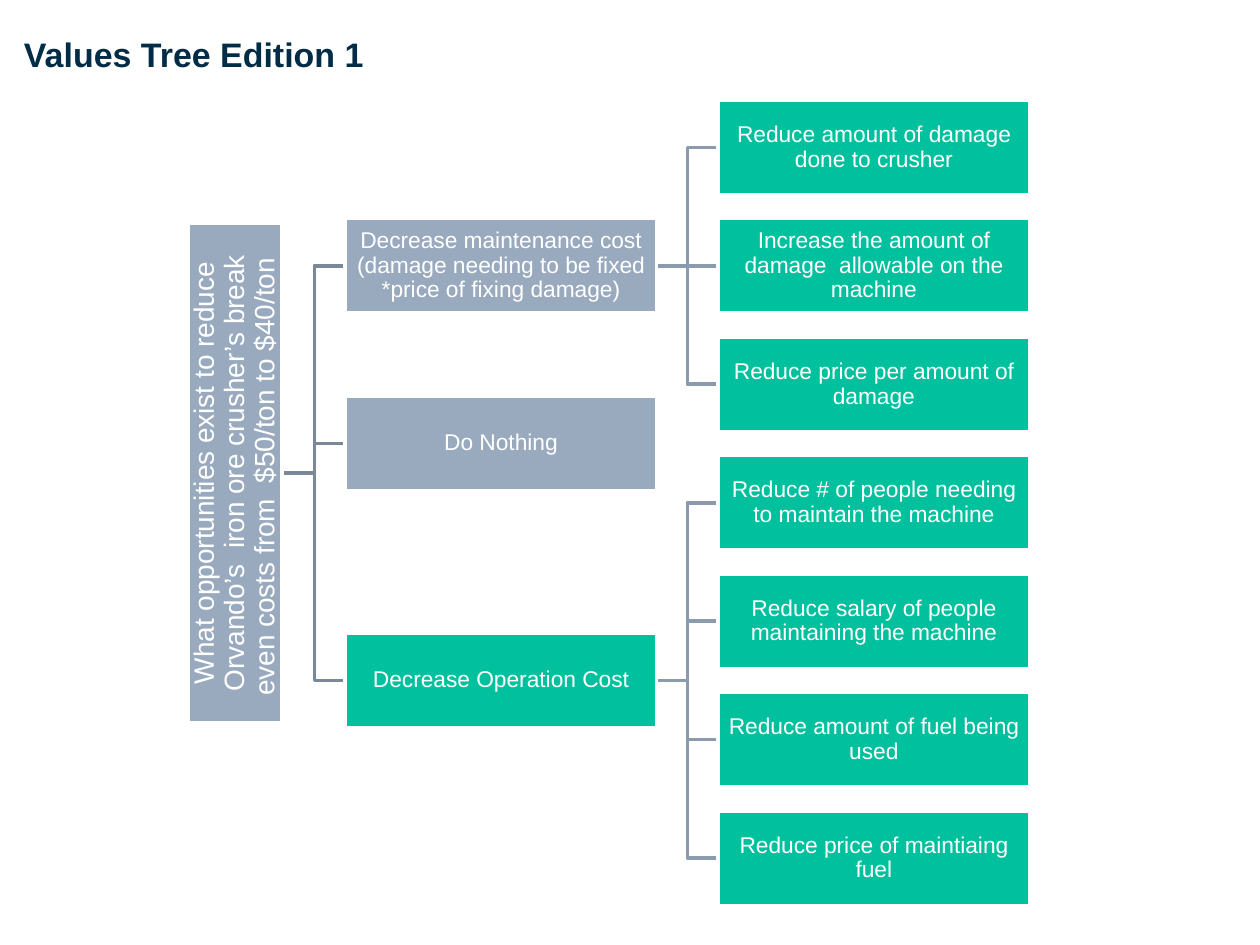
"""Build the values tree slide."""
from dataclasses import dataclass

from pptx import Presentation
from pptx.dml.color import RGBColor
from pptx.enum.shapes import MSO_CONNECTOR, MSO_SHAPE
from pptx.enum.text import MSO_ANCHOR, MSO_AUTO_SIZE, PP_ALIGN
from pptx.oxml import parse_xml
from pptx.oxml.ns import nsdecls
from pptx.slide import Slide
from pptx.text.text import TextFrame
from pptx.util import Inches, Pt

RECTANGLE = MSO_SHAPE.RECTANGLE
STRAIGHT = MSO_CONNECTOR.STRAIGHT
MIDDLE = MSO_ANCHOR.MIDDLE
NO_AUTOFIT = MSO_AUTO_SIZE.NONE
LEFT, CENTER = PP_ALIGN.LEFT, PP_ALIGN.CENTER

COLORS = {
    "title": "002C46",
    "text": "FFFFFF",
    "muted": "99AABE",
    "active": "00C09D",
    "root_link": "7B8898",
    "leaf_link": "8B9AAC",
}
FONT = "Arial"
BOX_WIDTH, BOX_HEIGHT = 2.47, 0.75
ROOT_LENGTH, ROOT_X = 3.96, 1.49
ROOT_SLOT = 2.75
BRANCH_X, LEAF_X = 2.74, 5.7
LINK_WIDTH = 0.49
FIRST_CENTER, PITCH = 1.17, 0.94


@dataclass(frozen=True)
class Branch:
    text: str
    slot: float
    color: str
    first_leaf: int = 0
    leaves: tuple[str, ...] = ()


QUESTION = (
    "What opportunities exist to reduce Orvando’s  iron ore crusher’s break "
    "even costs from  $50/ton to $40/ton "
)
BRANCHES = (
    Branch(
        "Decrease maintenance cost (damage needing to be fixed *price of fixing damage)",
        1, "muted", 0,
        (
            "Reduce amount of damage done to crusher",
            "Increase the amount of damage  allowable on the machine",
            "Reduce price per amount of damage",
        ),
    ),
    Branch("Do Nothing", 2.5, "muted"),
    Branch(
        "Decrease Operation Cost", 4.5, "active", 3,
        (
            "Reduce # of people needing to maintain the machine",
            "Reduce salary of people maintaining the machine",
            "Reduce amount of fuel being used",
            "Reduce price of maintiaing fuel",
        ),
    ),
)


def rgb(name: str) -> RGBColor:
    return RGBColor.from_string(COLORS[name])


def center_y(slot: float) -> float:
    return FIRST_CENTER + slot * PITCH


def write(frame: TextFrame, text: str, size: float, color: str,
          align: PP_ALIGN, inset: float, bold: bool = False) -> None:
    frame.text = text
    frame.word_wrap = True
    frame.auto_size = NO_AUTOFIT
    frame.vertical_anchor = MIDDLE
    frame.margin_left = frame.margin_right = Inches(inset)
    frame.margin_top = frame.margin_bottom = Inches(inset)
    paragraph = frame.paragraphs[0]
    paragraph.alignment = align
    font = paragraph.font
    font.name, font.size, font.bold = FONT, Pt(size), bold
    font.color.rgb = rgb(color)


def add_box(slide: Slide, text: str, center_x: float, slot: float, color: str,
            width: float = BOX_WIDTH, size: float = 13, rotation: float = 0) -> None:
    box = slide.shapes.add_shape(
        RECTANGLE,
        Inches(center_x - width / 2), Inches(center_y(slot) - BOX_HEIGHT / 2),
        Inches(width), Inches(BOX_HEIGHT),
    )
    box.rotation = rotation
    box.shadow.inherit = False
    box.fill.solid()
    box.fill.fore_color.rgb = rgb(color)
    box.line.color.rgb = rgb("text")
    box.line.width = Pt(2)
    write(box.text_frame, text, size, "text", CENTER, 0.01)
    box.text_frame.paragraphs[0].line_spacing = 0.9


def add_link(slide: Slide, end_x: float, from_slot: float, to_slot: float,
             color: str) -> None:
    start_x, middle_x, stop_x = (
        Inches(end_x - LINK_WIDTH * share) for share in (1, 0.5, 0)
    )
    start_y, stop_y = Inches(center_y(from_slot)), Inches(center_y(to_slot))
    if from_slot == to_slot:
        link = slide.shapes.add_connector(STRAIGHT, start_x, start_y, stop_x, stop_y)
        link._element.spPr.append(parse_xml(f"<a:effectLst {nsdecls('a')}/>"))
    else:
        outline = slide.shapes.build_freeform(start_x, start_y)
        outline.add_line_segments(
            [(middle_x, start_y), (middle_x, stop_y), (stop_x, stop_y)], close=False
        )
        link = outline.convert_to_shape()
        link.fill.background()
        link.shadow.inherit = False
    link.line.color.rgb = rgb(color)
    link.line.width = Pt(2)


def add_title(slide: Slide, text: str) -> None:
    title = slide.shapes.title
    title.left, title.top = Inches(0.19), Inches(0.26)
    title.width, title.height = Inches(9.62), Inches(0.33)
    write(title.text_frame, text, 19.4, "title", LEFT, 0, bold=True)


def add_tree(slide: Slide) -> None:
    for branch in BRANCHES:
        add_link(slide, BRANCH_X, ROOT_SLOT, branch.slot, "root_link")
        for leaf_slot, _ in enumerate(branch.leaves, branch.first_leaf):
            add_link(slide, LEAF_X, branch.slot, leaf_slot, "leaf_link")
    add_box(slide, QUESTION, ROOT_X + BOX_HEIGHT / 2, ROOT_SLOT, "muted",
            ROOT_LENGTH, 16, 270)
    for branch in BRANCHES:
        add_box(slide, branch.text, BRANCH_X + BOX_WIDTH / 2, branch.slot, branch.color)
        for leaf_slot, leaf in enumerate(branch.leaves, branch.first_leaf):
            add_box(slide, leaf, LEAF_X + BOX_WIDTH / 2, leaf_slot, "active")


def main() -> None:
    deck = Presentation()
    deck.slide_width, deck.slide_height = Inches(10), Inches(7.5)
    slide = deck.slides.add_slide(deck.slide_layouts.get_by_name("Title Only"))
    add_title(slide, "Values Tree Edition 1")
    add_tree(slide)
    deck.save("out.pptx")


if __name__ == "__main__":
    main()
